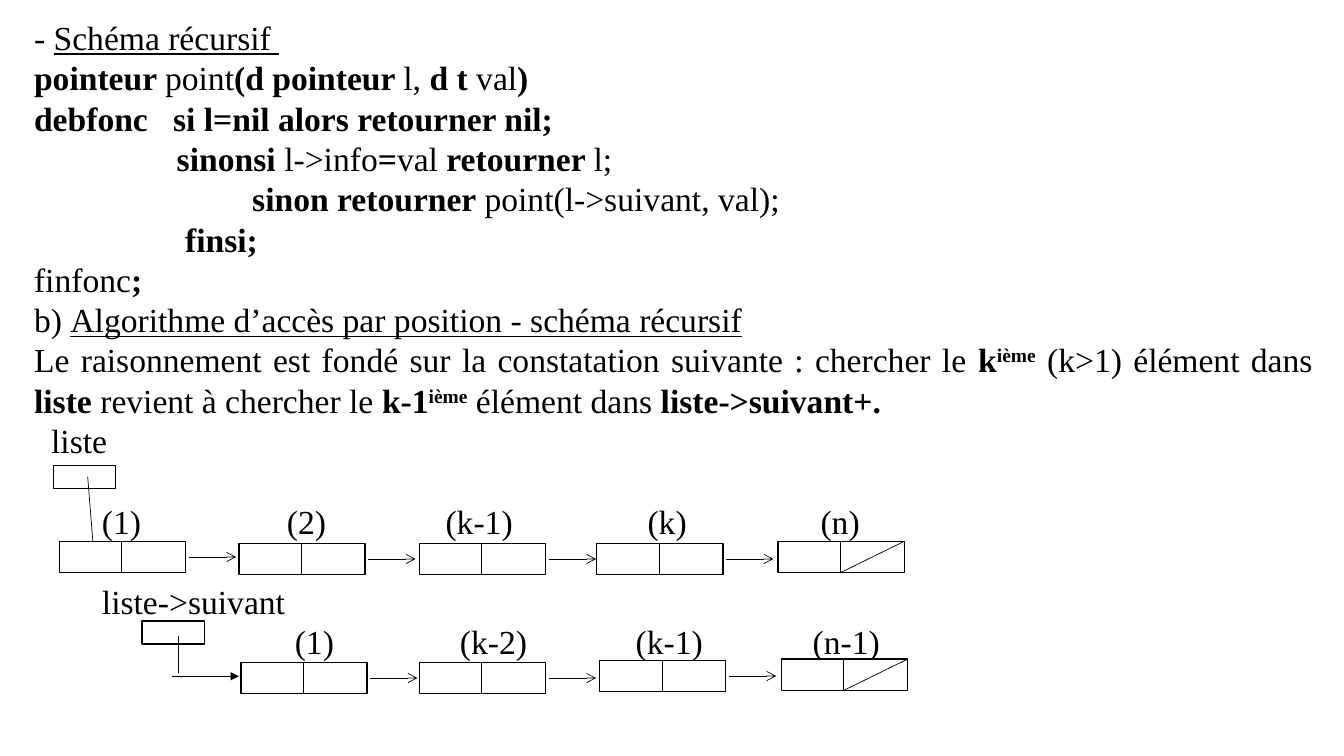
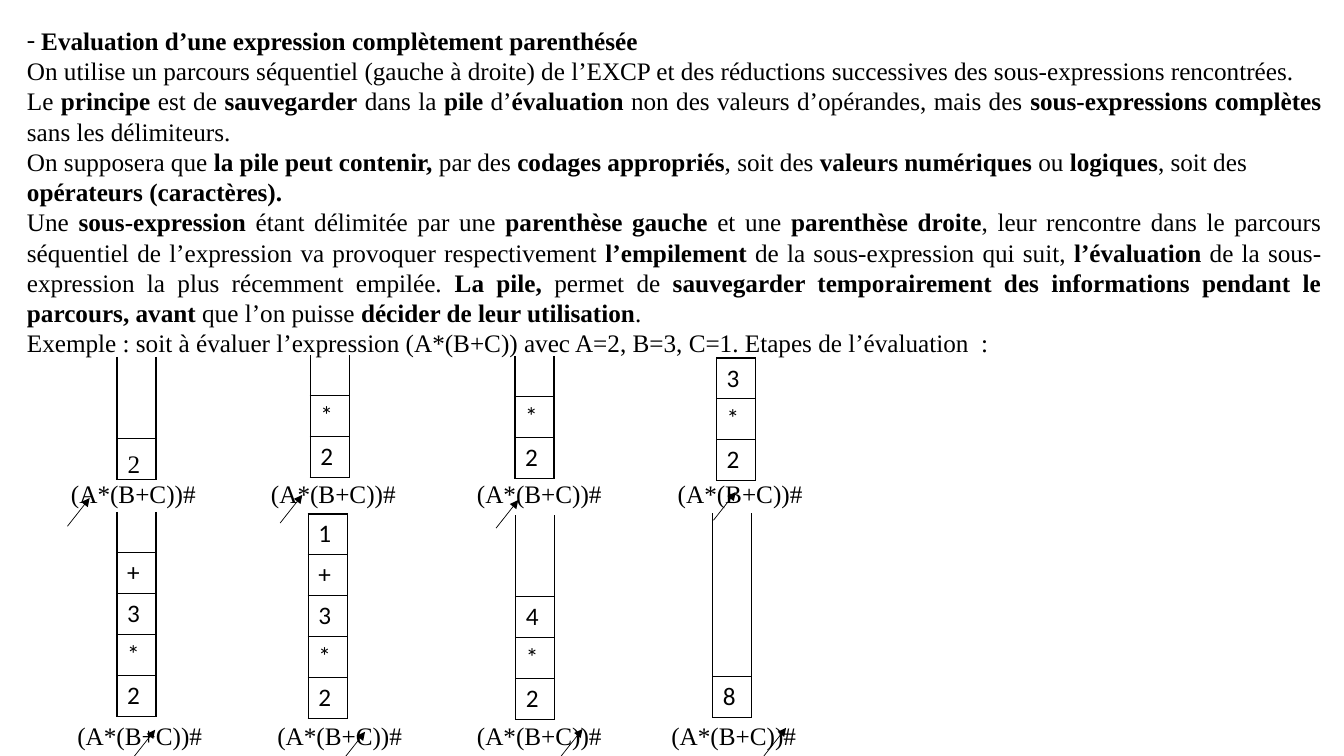
from lxml.etree import SubElement
from pptx import Presentation
from pptx.dml.color import RGBColor
from pptx.enum.shapes import MSO_CONNECTOR as Connector, MSO_SHAPE as Shape
from pptx.enum.text import MSO_AUTO_SIZE as AutoSize, PP_ALIGN as Align
from pptx.oxml import parse_xml
from pptx.oxml.ns import nsdecls, qn
from pptx.util import Cm, Pt

COLORS = {"ink": "000000", "paper": "FFFFFF"}
SERIF, SANS = "Times New Roman", "Calibri"
JUSTIFY = {"align": Align.JUSTIFY}

# Paragraphs: text and options; ~bold~, _underlined_, ^superscript^
RECURSION_TEXT = [
    ("- _Schéma récursif _", {}),
    ("~pointeur ~point~(d pointeur ~l,~ d t ~val~)~", {}),
    ("~debfonc   si l=nil alors retourner nil;~", {}),
    ("~                 sinonsi ~l->info~=~val~ retourner ~l;", {}),
    ("~                          sinon retourner ~point(l->suivant, val);", {}),
    ("~                  finsi;~", {}),
    ("finfonc~;~", {}),
    ("b) _Algorithme d’accès par position - schéma récursif_", JUSTIFY),
    ("Le raisonnement est fondé sur la constatation suivante : chercher le "
     "~k^ième^~ (k>1) élément dans ~liste~ revient à chercher le "
     "~k-1^ième^~ élément dans ~liste->suivant+.~", JUSTIFY),
    ("liste", {"left": 0.43}),
    ("\t(1)\t(2)\t(k-1)\t(k)\t(n)",
     {"before": 1.01, "tabs": [1.71, 6.37, 10.37, 15.46, 19.82]}),
    ("liste->suivant", {"before": 1.01, "left": 1.71}),
    ("\t(1)\t(k-2)\t(k-1)\t(n-1)", {"tabs": [6.57, 10.73, 15.16, 19.62]}),
]
EVALUATION_TEXT = [
    ("~Evaluation d’une expression complètement parenthésée~",
     {"bullet": "-", "left": 0.36}),
    ("On utilise un parcours séquentiel (gauche à droite) de l’EXCP et des "
     "réductions successives des sous-expressions rencontrées. ", JUSTIFY),
    ("Le ~principe~ est de ~sauvegarder~ dans la ~pile~ d’~évaluation~ non des "
     "valeurs d’opérandes, mais des ~sous-expressions complètes~ sans les "
     "délimiteurs.", JUSTIFY),
    ("On supposera que~ la pile peut contenir, ~par des~ codages appropriés~, "
     "soit des~ valeurs numériques ~ou~ logiques~, soit des~ opérateurs "
     "(caractères).~", {}),
    ("Une ~sous-expression~ étant délimitée par une ~parenthèse gauche~ et une "
     "~parenthèse droite~, leur rencontre dans le parcours séquentiel de "
     "l’expression va provoquer respectivement ~l’empilement ~de la "
     "sous-expression qui suit, ~l’évaluation~ de la sous-expression la plus "
     "récemment empilée. ~La pile, ~permet de~ sauvegarder temporairement des "
     "informations pendant le parcours, avant ~que l’on puisse ~décider de leur "
     "utilisation~.", JUSTIFY),
    ("Exemple : soit à évaluer l’expression (A*(B+C)) avec A=2, B=3, C=1. "
     "Etapes de l’évaluation  :", {}),
    ("2", {"before": 2.28, "left": 2.54}),
    ("\t" + "\t".join(["(A*(B+C))#"] * 4), {"tabs": [1.11, 6.15, 11.34, 16.4]}),
    ("\t" + "\t".join(["(A*(B+C))#"] * 4),
     {"before": 5.32, "tabs": [1.27, 6.31, 11.34, 16.24]}),
]

# Linked lists: left and top of each node
NODE_W, NODE_H, DIVIDER = 3.18, 0.79, 1.57
CHAINS = [
    [(1.5, 13.64), (6.02, 13.69), (10.57, 13.69), (15.04, 13.69), (19.61, 13.64)],
    [(6.07, 16.69), (10.57, 16.69), (15.11, 16.64), (19.69, 16.61)],
]
HEADS = [(1.35, 11.73), (3.58, 15.65)]
HEAD_LINKS = [
    ((2.21, 12.01), (2.34, 13.64), None),
    ((4.5, 16.03), (4.5, 16.97), None),
    ((4.34, 17.04), (6.02, 17.04), "triangle"),
]

# Stacks: left, top, cells from top (None = open), start of the reading arrow
CELL_W, CELL_H = 0.98, 1.03
STACKS = [
    (2.95, 8.99, [None, None, ""], (1.7, 13.26)),
    (7.82, 8.94, [None, "*", "2"], (7.06, 13.18)),
    (12.98, 8.97, [None, "*", "2"], (12.5, 13.31)),
    (18.06, 9.02, ["3", "*", "2"], (17.98, 13.11)),
    (2.95, 12.9, [None, "+", "3", "*", "2"], (3.35, 19.1)),
    (7.77, 12.95, ["1", "+", "3", "*", "2"], (8.64, 19.15)),
    (13, 12.98, [None, None, "4", "*", "2"], (14.12, 19.08)),
    (17.96, 12.93, [None, None, None, None, "8"], (19.25, 19.05)),
]


def color(name):
    return RGBColor.from_string(COLORS[name])


def set_font(paragraph, name, size):
    paragraph.font.name = name
    paragraph.font.size = Pt(size)
    paragraph.font.color.rgb = color("ink")


def add_spans(paragraph, text):
    for i, weighted in enumerate(text.split("~")):
        for j, lined in enumerate(weighted.split("_")):
            for k, piece in enumerate(lined.split("^")):
                if not piece:
                    continue
                span = paragraph.add_run()
                span.text = piece
                if i % 2:
                    span.font.bold = True
                if j % 2:
                    span.font.underline = True
                if k % 2:
                    span._r.get_or_add_rPr().set("baseline", "30000")


def add_text(page, place, paragraphs, size):
    box = page.shapes.add_textbox(*map(Cm, place))
    frame = box.text_frame
    frame.word_wrap = True
    frame.auto_size = AutoSize.SHAPE_TO_FIT_TEXT
    for index, (text, options) in enumerate(paragraphs):
        para = frame.add_paragraph() if index else frame.paragraphs[0]
        para.alignment = options.get("align", Align.LEFT)
        if "before" in options:
            para.space_before = Cm(options["before"])
        props = para._p.get_or_add_pPr()
        if "left" in options:
            props.set("marL", str(Cm(options["left"])))
        if "bullet" in options:
            props.set("indent", str(-Cm(options["left"])))
            SubElement(props, qn("a:buFont"), typeface=SERIF)
            SubElement(props, qn("a:buChar"), char=options["bullet"])
        if "tabs" in options:
            stops = SubElement(props, qn("a:tabLst"))
            for stop in options["tabs"]:
                SubElement(stops, qn("a:tab"), pos=str(Cm(stop)), algn="l")
        set_font(para, SERIF, size)
        add_spans(para, text)


def add_line(page, start, end, arrow=None):
    line = page.shapes.add_connector(Connector.STRAIGHT, *map(Cm, start + end))
    line.line.color.rgb = color("ink")
    line.line.width = Pt(0.5)
    if arrow:
        SubElement(line.line._get_or_add_ln(), qn("a:tailEnd"), type=arrow)
    SubElement(line._element.spPr, qn("a:effectLst"))


def add_box(page, left, top, width, height):
    box = page.shapes.add_shape(Shape.RECTANGLE, *map(Cm, (left, top, width, height)))
    box.shadow.inherit = False
    box.fill.solid()
    box.fill.fore_color.rgb = color("paper")
    box.line.color.rgb = color("ink")
    box.line.width = Pt(1)


def add_chain(page, nodes):
    for left, top in nodes:
        add_box(page, left, top, NODE_W, NODE_H)
        middle = left + DIVIDER
        add_line(page, (middle, top), (middle, top + NODE_H))
        if (left, top) == nodes[-1]:  # end of list
            add_line(page, (middle, top + NODE_H), (left + NODE_W, top))
        else:
            x, y = left + NODE_W + 0.08, top + NODE_H / 2
            add_line(page, (x, y), (x + 1.19, y), "arrow")


def set_borders(cell, edges):
    props = cell._tc.get_or_add_tcPr()
    for index, edge in enumerate("LRTB"):
        fill = (f'<a:solidFill><a:srgbClr val="{COLORS["ink"]}"/></a:solidFill>'
                if edge in edges else "<a:noFill/>")
        props.insert(index, parse_xml(
            f'<a:ln{edge} {nsdecls("a")} w="{Pt(1)}">{fill}</a:ln{edge}>'))


def add_stack(page, left, top, values):
    count = len(values)
    table = page.shapes.add_table(count, 1, Cm(left), Cm(top), Cm(CELL_W),
                                  Cm(CELL_H * count)).table
    table.first_row = table.horz_banding = False
    table.columns[0].width = Cm(CELL_W)
    for row, value in enumerate(values):
        table.rows[row].height = Cm(CELL_H)
        cell = table.cell(row, 0)
        cell.fill.background()
        cell.text = value or ""
        set_font(cell.text_frame.paragraphs[0], SANS, 18)
        if value is not None:
            set_borders(cell, "LRTB")
        else:
            set_borders(cell, "LR" if values[row + 1] is None else "LRB")


def main():
    deck = Presentation()
    deck.slide_width, deck.slide_height = Cm(33.87), Cm(19.05)
    blank = deck.slide_layouts[6]

    # Recursive access in a linked list
    page = deck.slides.add_slide(blank)
    add_text(page, (0.61, 0.3, 32.72, 17.7), RECURSION_TEXT, 24)
    for left, top in HEADS:
        add_box(page, left, top, 1.57, 0.58)
    for nodes in CHAINS:
        add_chain(page, nodes)
    for start, end, arrow in HEAD_LINKS:
        add_line(page, start, end, arrow)

    # Evaluation with a stack
    page = deck.slides.add_slide(blank)
    add_text(page, (0.43, 0.51, 33.12, 18.72), EVALUATION_TEXT, 18)
    for left, top, values, (x, y) in STACKS:
        add_stack(page, left, top, values)
        add_line(page, (x, y), (x + 0.56, y - 0.71), "triangle")

    deck.save("out.pptx")


if __name__ == "__main__":
    main()
